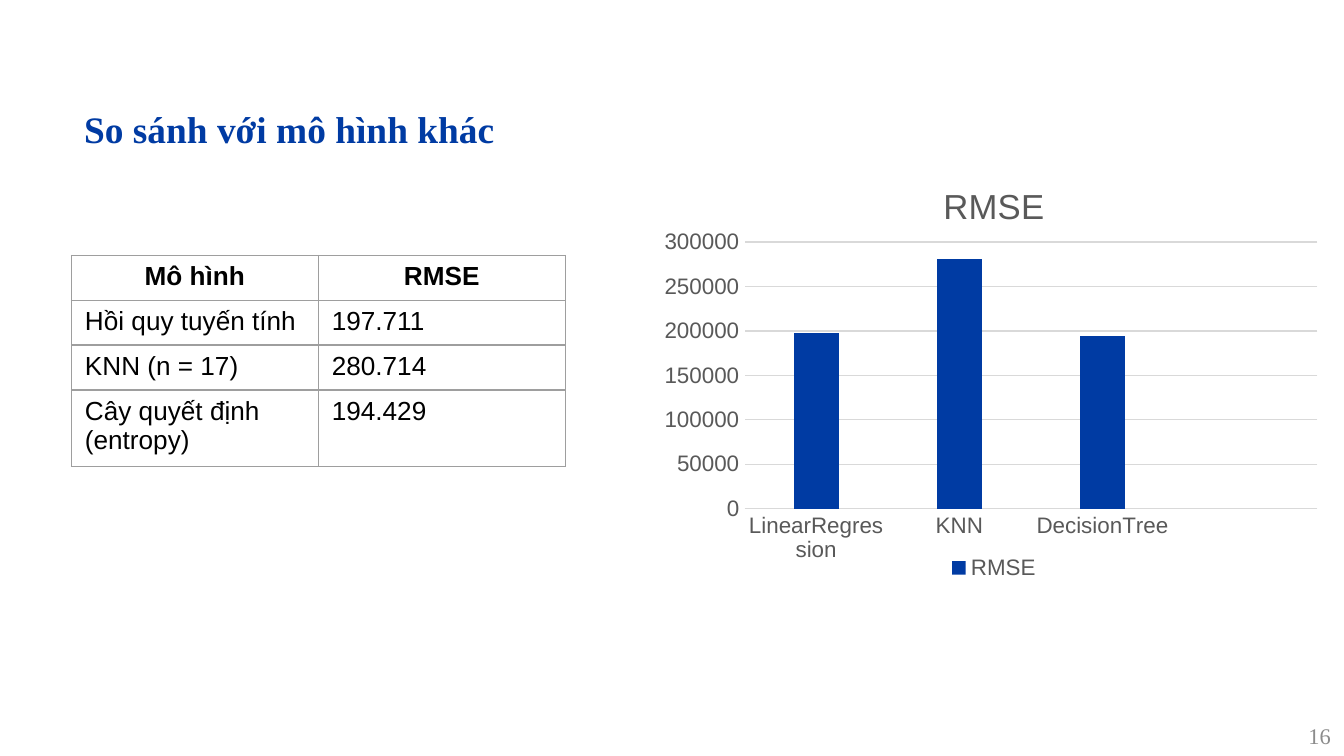
import pptx
import pptx.chart.data
import pptx.dml.color
import pptx.enum.chart
import pptx.enum.text
import pptx.oxml
import pptx.oxml.ns
import pptx.util
from dataclasses import dataclass

Pt = pptx.util.Pt
Align = pptx.enum.text.PP_ALIGN
Anchor = pptx.enum.text.MSO_ANCHOR


@dataclass(frozen=True)
class Theme:
    blue: str = "003BA3"
    black: str = "000000"
    label: str = "595959"
    number: str = "8C8C8C"
    border: str = "9E9E9E"
    grid: str = "D9D9D9"
    sans: str = "Arial"
    serif: str = "Times New Roman"
    small: float = 12
    body: float = 14
    head: float = 20
    title: float = 18.6
    line: float = 0.75


def rgb(color):
    return pptx.dml.color.RGBColor.from_string(color)


def style(font, size, color, face, bold=False):
    font.size, font.name, font.bold = Pt(size), face, bold
    font.color.rgb = rgb(color)


def write(frame, text, align=Align.LEFT, after=0, **look):
    """Fill the frame with one paragraph; look goes to style()."""
    para = frame.paragraphs[0]
    para.alignment = align
    para.space_after = Pt(after)
    run = para.add_run()
    run.text = text
    style(run.font, **look)


def rule(line, color, width):
    line.color.rgb = rgb(color)
    line.width = Pt(width)


def edge(cell, color, width):
    """Draw a border on all four sides of a table cell."""
    props = cell._tc.get_or_add_tcPr()
    for spot, side in enumerate("LRTB"):
        props.insert(spot, pptx.oxml.parse_xml(
            f'<a:ln{side} {pptx.oxml.ns.nsdecls("a")} w="{Pt(width)}">'
            f'<a:solidFill><a:srgbClr val="{color}"/></a:solidFill></a:ln{side}>'))


def place(chart, **box):
    """Fix the inner plot area, in fractions of the chart."""
    area = chart._chartSpace.chart.plotArea
    for old in area.findall(pptx.oxml.ns.qn("c:layout")):
        area.remove(old)
    parts = "".join(f'<c:{key} val="{val}"/>' for key, val in box.items())
    area.insert(0, pptx.oxml.parse_xml(
        f'<c:layout {pptx.oxml.ns.nsdecls("c")}><c:manualLayout>'
        '<c:layoutTarget val="inner"/><c:xMode val="edge"/><c:yMode val="edge"/>'
        f'{parts}</c:manualLayout></c:layout>'))


class Deck:
    def __init__(self, theme, wide, high):
        self.theme = theme
        self.file = pptx.Presentation()
        self.file.slide_width, self.file.slide_height = Pt(wide), Pt(high)
        self.slide = self.file.slides.add_slide(self.file.slide_layouts[6])

    def text(self, box, text, inset=7.2, anchor=Anchor.TOP, **look):
        frame = self.slide.shapes.add_textbox(*map(Pt, box)).text_frame
        frame.word_wrap = True
        frame.vertical_anchor = anchor
        frame.margin_top = frame.margin_bottom = Pt(inset)
        write(frame, text, **look)

    def table(self, left, top, width, highs, rows):
        theme = self.theme
        table = self.slide.shapes.add_table(
            len(rows), len(rows[0]), Pt(left), Pt(top), Pt(width), Pt(sum(highs))).table
        table.first_row = table.horz_banding = False
        for r, (high, row) in enumerate(zip(highs, rows)):
            table.rows[r].height = Pt(high)
            for c, text in enumerate(row):
                cell = table.cell(r, c)
                cell.fill.background()
                edge(cell, theme.border, theme.line)
                write(cell.text_frame, text, size=theme.body, color=theme.black,
                      face=theme.sans, bold=r == 0,
                      align=Align.LEFT if r else Align.CENTER)

    def chart(self, box, name, cats, vals):
        theme, enum = self.theme, pptx.enum.chart
        look = dict(size=theme.small, color=theme.label, face=theme.sans)
        data = pptx.chart.data.CategoryChartData()
        data.categories = cats
        data.add_series(name, vals)
        chart = self.slide.shapes.add_chart(
            enum.XL_CHART_TYPE.COLUMN_CLUSTERED, *map(Pt, box), data).chart
        style(chart.font, **look)
        write(chart.chart_title.text_frame, name, align=Align.CENTER,
              **{**look, "size": theme.title})
        chart.chart_title.include_in_layout = False
        chart.has_legend = True
        chart.legend.position = enum.XL_LEGEND_POSITION.BOTTOM
        chart.legend.include_in_layout = False
        style(chart.legend.font, **look)

        for axis in (chart.category_axis, chart.value_axis):
            axis.major_tick_mark = axis.minor_tick_mark = enum.XL_TICK_MARK.NONE
            style(axis.tick_labels.font, **look)
        rule(chart.category_axis.format.line, theme.grid, theme.line)
        value = chart.value_axis
        value.format.line.fill.background()
        rule(value.major_gridlines.format.line, theme.grid, theme.line)
        value.minimum_scale, value.maximum_scale, value.major_unit = 0, 300000, 50000

        plot = chart.plots[0]
        plot.gap_width, plot.overlap = 219, -27
        plot.vary_by_categories = False
        fill = plot.series[0].format.fill
        fill.solid()
        fill.fore_color.rgb = rgb(theme.blue)
        place(chart, x=0.13, y=0.19, w=0.85, h=0.63)


def main():
    theme = Theme()
    deck = Deck(theme, 720, 405)
    deck.text((38, 49.5, 543, 37), "So sánh với mô hình khác", after=16,
              size=theme.head, color=theme.blue, face=theme.serif, bold=True)
    deck.text((558, 383, 162, 22), "16", inset=3.6, anchor=Anchor.MIDDLE,
              align=Align.RIGHT, size=theme.small, color=theme.number, face=theme.serif)
    deck.chart((352, 86.5, 361, 227), "RMSE",
               ["LinearRegression", "KNN", "DecisionTree", ""],
               [198000, 281000, 194000, None])
    deck.table(38.3, 136.8, 264.5, [23, 23, 23, 39], [
        ("Mô hình", "RMSE"),
        ("Hồi quy tuyến tính", "197.711"),
        ("KNN (n = 17)", "280.714"),
        ("Cây quyết định (entropy)", "194.429"),
    ])
    deck.file.save("out.pptx")


if __name__ == "__main__":
    main()
